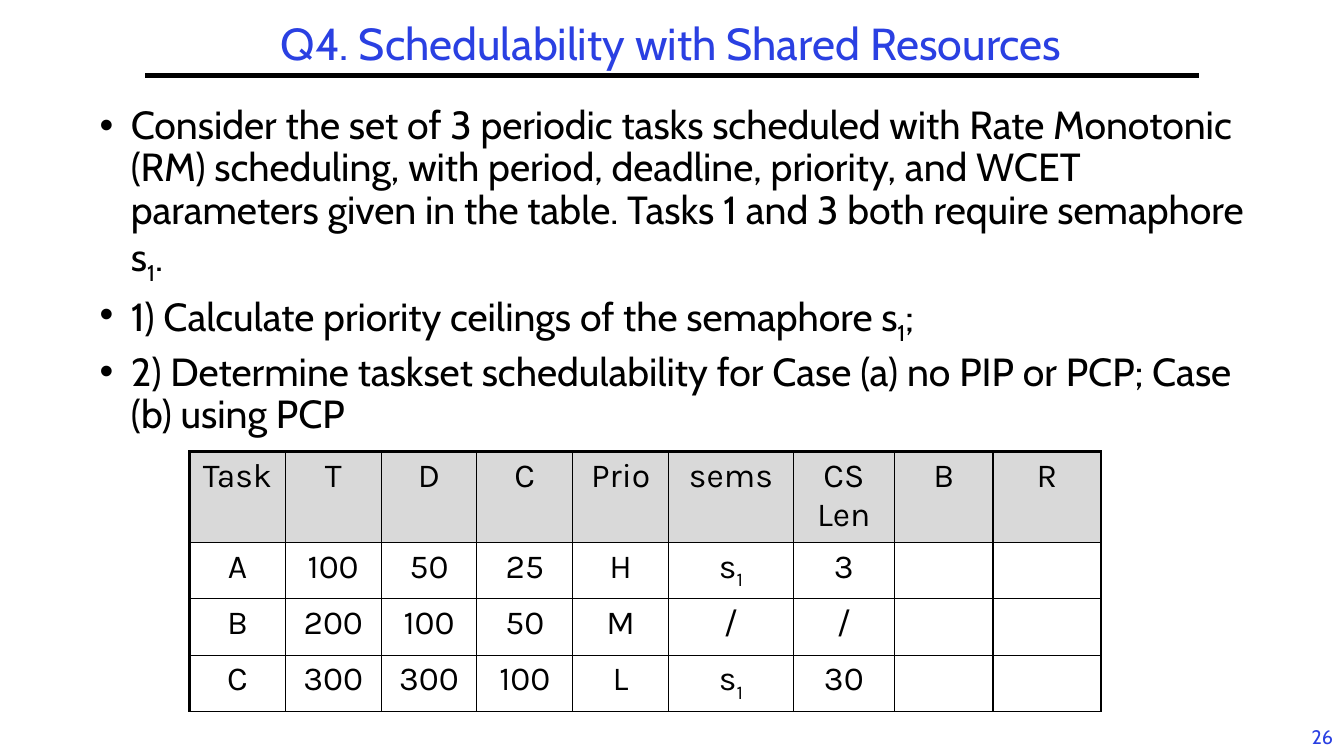
from pptx import Presentation
from pptx.dml.color import RGBColor
from pptx.enum.shapes import MSO_CONNECTOR
from pptx.enum.text import MSO_ANCHOR, PP_ALIGN
from pptx.oxml.ns import qn
from pptx.util import Inches, Pt
from lxml import etree

LEFT, CENTER = PP_ALIGN.LEFT, PP_ALIGN.CENTER
TOP, MIDDLE = MSO_ANCHOR.TOP, MSO_ANCHOR.MIDDLE
STRAIGHT = MSO_CONNECTOR.STRAIGHT

BLACK = RGBColor(0x00, 0x00, 0x00)
BLUE = RGBColor(0x2A, 0x40, 0xE2)
HEADER_GRAY = RGBColor(0xD9, 0xD9, 0xD9)

TITLE = "Q4. Schedulability with Shared Resources"
# Text between bars is set as a subscript
BULLETS = [
    "Consider the set of 3 periodic tasks scheduled with Rate Monotonic (RM) "
    "scheduling, with period, deadline, priority, and WCET parameters given in "
    "the table. Tasks 1 and 3 both require semaphore s|1|.",
    "1) Calculate priority ceilings of the semaphore s|1|;",
    "2) Determine taskset schedulability for Case (a) no PIP or PCP; "
    "Case (b) using PCP",
]
TASK_ROWS = [
    ["Task", "T", "D", "C", "Prio", "sems", "CS Len", "B", "R"],
    ["A", "100", "50", "25", "H", "s|1|", "3", "", ""],
    ["B", "200", "100", "50", "M", "/", "/", "", ""],
    ["C", "300", "300", "100", "L", "s|1|", "30", "", ""],
]
COLUMN_WIDTHS = [0.95] * 5 + [1.24, 1, 0.98, 1.07]
ROW_HEIGHTS = [0.9] + [0.56] * 3


class SlideBuilder:
    text_font = "Cabin"
    table_font = "Karla"
    line_spacing = 0.9
    bullet_indent = Inches(0.31)
    bullet_gap = Pt(8.4)

    def __init__(self, slide):
        self.slide = slide

    def add_runs(self, paragraph, text, size, color, font):
        for index, piece in enumerate(text.split("|")):
            if not piece:
                continue
            run = paragraph.add_run()
            run.text = piece
            run.font.size = Pt(size)
            run.font.name = font
            run.font.color.rgb = color
            if index % 2:
                run._r.get_or_add_rPr().set("baseline", "-25000")

    def bullet(self, paragraph):
        properties = paragraph._p.get_or_add_pPr()
        properties.set("marL", str(self.bullet_indent))
        properties.set("indent", str(-self.bullet_indent))
        etree.SubElement(properties, qn("a:buFont")).set("typeface", "Arial")
        etree.SubElement(properties, qn("a:buChar")).set("char", "•")

    def text(self, left, top, width, height, lines, size, color,
             align=LEFT, anchor=TOP, bulleted=False, wrap=True):
        box = self.slide.shapes.add_textbox(
            Inches(left), Inches(top), Inches(width), Inches(height))
        frame = box.text_frame
        frame.word_wrap = wrap
        frame.vertical_anchor = anchor
        for index, line in enumerate(lines):
            paragraph = frame.paragraphs[0] if index == 0 else frame.add_paragraph()
            paragraph.alignment = align
            paragraph.line_spacing = self.line_spacing
            if index:
                paragraph.space_before = self.bullet_gap
            if bulleted:
                self.bullet(paragraph)
            self.add_runs(paragraph, line, size, color, self.text_font)

    def rule(self, left, right, y, width):
        connector = self.slide.shapes.add_connector(
            STRAIGHT, Inches(left), Inches(y), Inches(right), Inches(y))
        connector.line.color.rgb = BLACK
        connector.line.width = Pt(width)
        etree.SubElement(connector._element.spPr, qn("a:effectLst"))

    def cell_borders(self, cell, left, top):
        properties = cell._tc.get_or_add_tcPr()
        for side, width in (("L", left), ("R", 1), ("T", top), ("B", 1)):
            line = etree.SubElement(properties, qn(f"a:ln{side}"))
            line.set("w", str(Pt(width)))
            fill = etree.SubElement(line, qn("a:solidFill"))
            etree.SubElement(fill, qn("a:srgbClr")).set("val", str(BLACK))

    def table(self, left, top, rows, widths, heights, size):
        table = self.slide.shapes.add_table(
            len(rows), len(widths), Inches(left), Inches(top),
            Inches(sum(widths)), Inches(sum(heights))).table
        table.first_row = table.horz_banding = False
        for column, width in zip(table.columns, widths):
            column.width = Inches(width)
        for row, height in zip(table.rows, heights):
            row.height = Inches(height)
        for row_index, row in enumerate(rows):
            for column_index, value in enumerate(row):
                cell = table.cell(row_index, column_index)
                self.cell_borders(cell, 1 if column_index else 2.25,
                                  1 if row_index else 2.25)
                if row_index:
                    cell.fill.background()
                else:
                    cell.fill.solid()
                    cell.fill.fore_color.rgb = HEADER_GRAY
                paragraph = cell.text_frame.paragraphs[0]
                paragraph.alignment = CENTER
                self.add_runs(paragraph, value, size, BLACK, self.table_font)


def main():
    presentation = Presentation()
    presentation.slide_width = Inches(13.33)
    presentation.slide_height = Inches(7.5)
    builder = SlideBuilder(
        presentation.slides.add_slide(presentation.slide_layouts[6]))

    # Page number
    builder.text(12.9, 7.17, 0.43, 0.33, ["26"], 14, BLUE, CENTER, wrap=False)

    # Title with its rule
    builder.rule(1.44, 11.89, 0.75, 3)
    builder.text(1.44, 0.17, 10.44, 0.58, [TITLE], 32, BLUE, CENTER, MIDDLE)

    # Question
    builder.text(0.89, 1, 11.56, 5.58, BULLETS, 28, BLACK, bulleted=True)

    # Task parameters
    builder.table(1.88, 4.48, TASK_ROWS, COLUMN_WIDTHS, ROW_HEIGHTS, 24)

    presentation.save("out.pptx")


if __name__ == "__main__":
    main()
